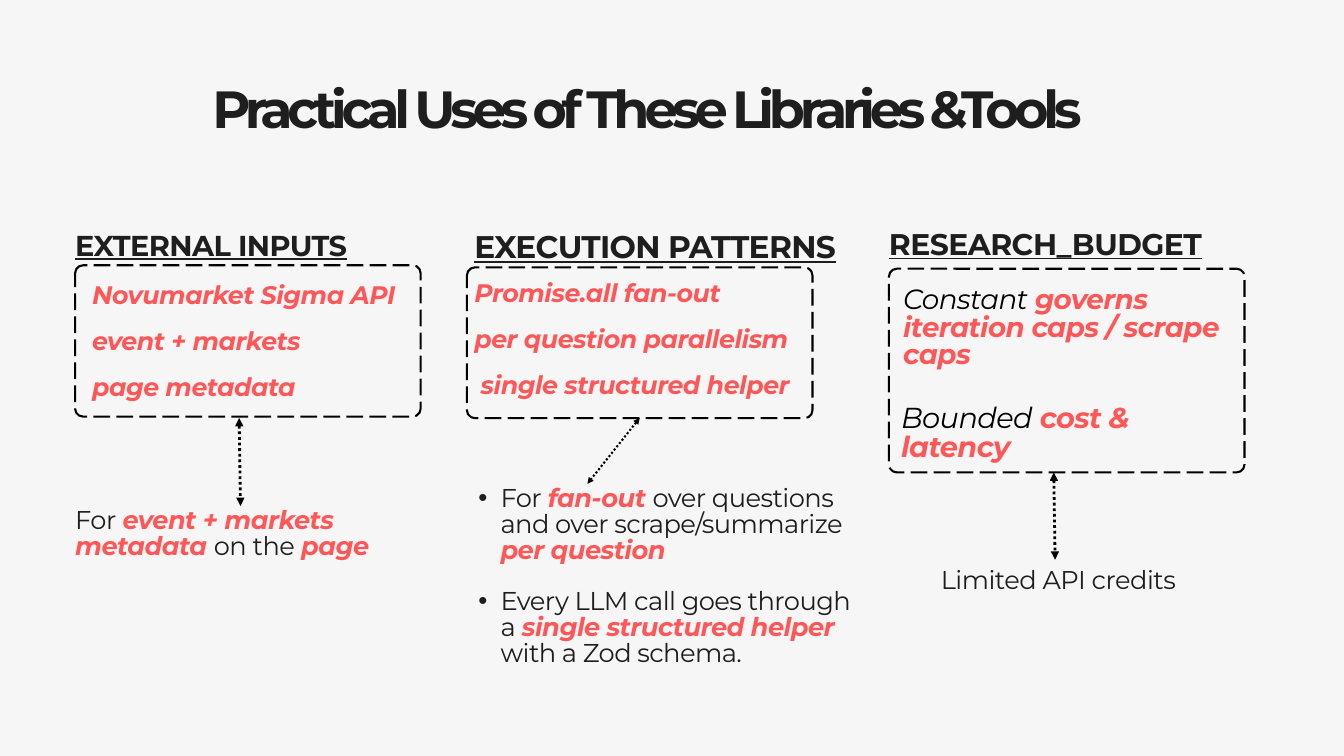
from dataclasses import dataclass

from lxml.etree import SubElement
from pptx import Presentation
from pptx.dml.color import RGBColor
from pptx.enum.dml import MSO_LINE_DASH_STYLE as Dash
from pptx.enum.shapes import MSO_CONNECTOR as Connector, MSO_SHAPE as Shape
from pptx.enum.text import PP_ALIGN as Align
from pptx.oxml.ns import qn
from pptx.util import Cm, Pt


@dataclass(frozen=True)
class Theme:
    font: str = "Montserrat"
    background: RGBColor = RGBColor(0xF6, 0xF6, 0xF6)
    ink: RGBColor = RGBColor(0x1E, 0x1E, 0x1E)
    black: RGBColor = RGBColor(0, 0, 0)
    accent: RGBColor = RGBColor(0xFF, 0x57, 0x57)
    title: float = 56
    item: float = 27.1
    note: float = 27.5
    bullet: float = 27.6


THEME = Theme()
BODY = {"color": THEME.ink}
HEADING = {"color": THEME.ink, "bold": True, "underline": True}
LEAD = {"color": THEME.black, "italic": True}
ACCENT = {"color": THEME.accent, "bold": True, "italic": True}


@dataclass(frozen=True)
class Box:
    left: float
    top: float
    width: float
    height: float

    def lengths(self) -> tuple:
        return tuple(Cm(n) for n in (self.left, self.top, self.width, self.height))


@dataclass(frozen=True)
class TextBlock:
    """Text whose parts between asterisks take the accent style."""
    box: Box
    paragraphs: tuple
    size: float
    style: dict
    spacing: float = -0.6
    line_factor: float = 1
    align: Align = Align.LEFT
    bullets: bool = False
    indent: float = 0


@dataclass(frozen=True)
class Arrow:
    start: tuple
    end: tuple
    width: float = 3


@dataclass(frozen=True)
class ItemList:
    left: float
    top: float
    items: tuple
    indents: tuple = (0, 0, 0)


ITEM_STEP = 1.74
CORNER_RADIUS = 0.3

FRAMES = (
    Box(2.84, 10.03, 13.06, 5.72),
    Box(17.65, 10.11, 13.06, 5.7),
    Box(33.6, 10.16, 13.44, 7.7),
)
ARROWS = (
    Arrow((9.04, 15.8), (9.09, 19.13)),
    Arrow((24.18, 15.8), (22.2, 18.29), width=2.25),
    Arrow((39.83, 17.86), (39.88, 21.16)),
)
ITEM_LISTS = (
    ItemList(3.48, 10.74, ("Novumarket Sigma API", "event + markets", "page metadata")),
    ItemList(17.93, 10.67, ("Promise.all fan-out", "per question parallelism",
                            "single structured helper"), (0, 0, 0.24)),
)
TEXTS = (
    TextBlock(Box(6.68, 3.68, 35.56, 1.75), ("Practical Uses of These Libraries &Tools",),
              THEME.title, {"color": THEME.ink, "bold": True}, -5.6, 0.8, Align.CENTER),
    TextBlock(Box(2.84, 8.81, 13.28, 1.12), ("EXTERNAL INPUTS",), 30.8, HEADING),
    TextBlock(Box(17.93, 8.84, 14.43, 1.19), ("EXECUTION PATTERNS",), 33.5, HEADING, -0.7),
    TextBlock(Box(33.6, 8.76, 13.82, 1.17), ("RESEARCH_BUDGET",), 32, HEADING),
    TextBlock(Box(34.14, 10.85, 13.82, 3.15),
              ("Constant *governs iteration caps / scrape caps*",), 29.8, LEAD),
    TextBlock(Box(34.06, 15.34, 12.55, 2.24), ("Bounded *cost & latency*",), 30.9, LEAD),
    TextBlock(Box(2.84, 19.25, 14.3, 1.98),
              ("For *event + markets metadata *on the *page*",), THEME.note, BODY, -0.5),
    TextBlock(Box(17.27, 18.42, 15.09, 6.78),
              ("For *fan‑out *over questions and over scrape/summarize *per question*",
               "Every LLM call goes through a *single structured helper* with a Zod schema."),
              THEME.bullet, BODY, bullets=True),
    TextBlock(Box(35.56, 21.51, 9.88, 1.02), ("Limited API credits",),
              THEME.note, BODY, -0.5),
)


def set_indent(paragraph, margin: float, hanging: float = 0, bullet: str = "") -> None:
    properties = paragraph._p.get_or_add_pPr()
    properties.set("marL", str(Cm(margin)))
    properties.set("indent", str(-Cm(hanging)))
    if bullet:
        SubElement(properties, qn("a:buFont"), typeface="Arial")
        SubElement(properties, qn("a:buChar"), char=bullet)


def add_run(paragraph, text: str, block: TextBlock, style: dict) -> None:
    run = paragraph.add_run()
    run.text = text
    values = {"name": THEME.font, "size": Pt(block.size), **style}
    run.font.color.rgb = values.pop("color")
    for name, value in values.items():
        setattr(run.font, name, value)
    run._r.get_or_add_rPr().set("spc", str(round(block.spacing * 100)))


def add_text(slide, block: TextBlock) -> None:
    frame = slide.shapes.add_textbox(*block.box.lengths()).text_frame
    margins = dict.fromkeys(("margin_left", "margin_top", "margin_right", "margin_bottom"), 0)
    for name, value in {"word_wrap": True, **margins}.items():
        setattr(frame, name, value)
    for index, text in enumerate(block.paragraphs):
        paragraph = frame.add_paragraph() if index else frame.paragraphs[0]
        paragraph.alignment = block.align
        paragraph.line_spacing = Pt(block.size * block.line_factor)
        if index:
            paragraph.space_before = Pt(block.size)
        if block.bullets:
            set_indent(paragraph, 1.65, 0.84, "•")
        elif block.indent:
            set_indent(paragraph, block.indent)
        for position, part in enumerate(text.split("*")):
            if part:
                add_run(paragraph, part, block, ACCENT if position % 2 else block.style)


def add_items(slide, item_list: ItemList) -> None:
    for row, (item, indent) in enumerate(zip(item_list.items, item_list.indents)):
        box = Box(item_list.left, item_list.top + row * ITEM_STEP, 14, 1.04)
        add_text(slide, TextBlock(box, (item,), THEME.item, ACCENT, -0.5, indent=indent))


def style_line(line, width: float, dash: Dash) -> None:
    line.color.rgb = THEME.black
    line.width = Pt(width)
    line.dash_style = dash


def add_frame(slide, box: Box) -> None:
    shape = slide.shapes.add_shape(Shape.ROUNDED_RECTANGLE, *box.lengths())
    shape.adjustments[0] = CORNER_RADIUS / min(box.width, box.height)
    shape.shadow.inherit = False
    shape.fill.background()
    style_line(shape.line, 2.25, Dash.LONG_DASH)


def add_arrow(slide, arrow: Arrow) -> None:
    """Draw a dotted line with a triangle at both ends."""
    points = [Cm(n) for n in (*arrow.start, *arrow.end)]
    connector = slide.shapes.add_connector(Connector.STRAIGHT, *points)
    style_line(connector.line, arrow.width, Dash.ROUND_DOT)
    outline = connector.line._get_or_add_ln()
    for end in ("a:headEnd", "a:tailEnd"):
        SubElement(outline, qn(end), type="triangle")
    SubElement(connector._element.spPr, qn("a:effectLst"))


def main() -> None:
    presentation = Presentation()
    presentation.slide_width = Cm(50.8)
    presentation.slide_height = Cm(28.58)
    slide = presentation.slides.add_slide(presentation.slide_layouts[6])
    slide.background.fill.solid()
    slide.background.fill.fore_color.rgb = THEME.background
    for draw, elements in ((add_frame, FRAMES), (add_arrow, ARROWS),
                           (add_text, TEXTS), (add_items, ITEM_LISTS)):
        for element in elements:
            draw(slide, element)
    presentation.save("out.pptx")


if __name__ == "__main__":
    main()
